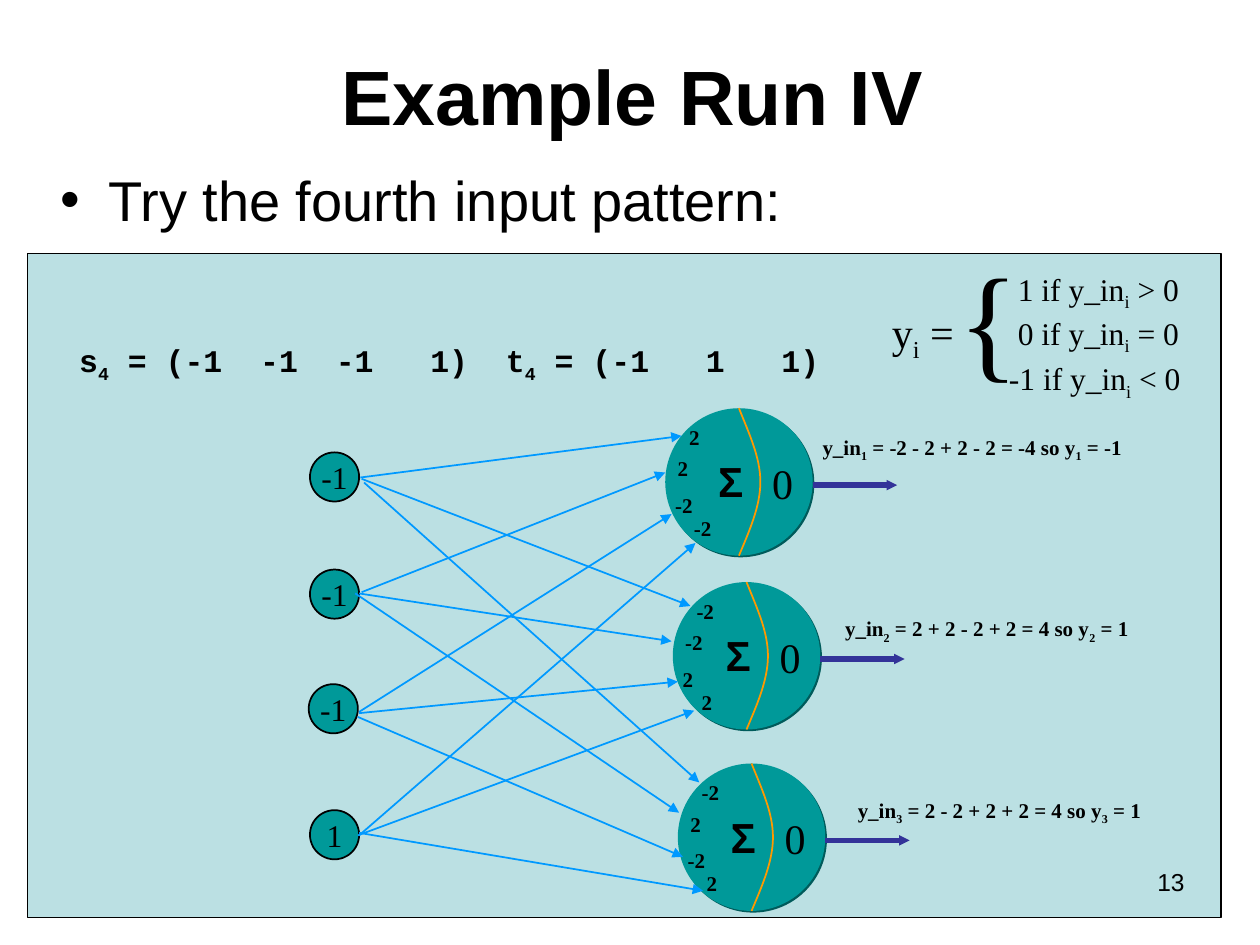
from lxml.etree import SubElement
from pptx import Presentation
from pptx.dml.color import RGBColor
from pptx.enum.shapes import MSO_CONNECTOR, MSO_SHAPE
from pptx.enum.text import MSO_ANCHOR, MSO_AUTO_SIZE, PP_ALIGN
from pptx.oxml.ns import qn
from pptx.util import Inches, Pt

BLACK = RGBColor(0x00, 0x00, 0x00)
PALE = RGBColor(0xBB, 0xE0, 0xE3)
TEAL = RGBColor(0x00, 0x99, 0x99)
ORANGE = RGBColor(0xFF, 0x99, 0x00)
NAVY = RGBColor(0x33, 0x33, 0x99)
BLUE = RGBColor(0x00, 0x99, 0xFF)
SERIF = "Times New Roman"
DISC = 1.17

INPUTS = [(2.46, 3.59, "-1"), (2.46, 4.52, "-1"), (2.45, 5.43, "-1"), (2.46, 6.43, "1")]
UNITS = [
    (5.28, 3.24, ["2", "2", "-2", "-2"]),
    (5.34, 4.62, ["-2", "-2", "2", "2"]),
    (5.38, 6.06, ["-2", "2", "-2", "2"]),
]
SPOTS = [(0.09, 0.08), (0, 0.33), (-0.02, 0.62), (0.13, 0.8)]
LINKS = [
    (2.86, 3.79, 5.41, 3.46), (2.87, 3.8, 5.48, 4.81), (2.89, 3.83, 5.55, 6.21),
    (2.87, 4.7, 5.28, 3.75), (2.85, 4.71, 5.33, 5.09), (2.82, 4.71, 5.39, 6.45),
    (2.85, 5.65, 5.33, 4.08), (2.85, 5.66, 5.38, 5.41), (2.84, 5.69, 5.42, 6.8),
    (2.85, 6.63, 5.52, 4.31), (2.84, 6.63, 5.51, 5.64), (2.85, 6.61, 5.58, 7.07),
]
CASES = [
    (7.98, 2.09, 1.48, "1 if y_in", " > 0"),
    (7.98, 2.44, 1.48, "0 if y_in", " = 0"),
    (7.91, 2.8, 1.56, "-1 if y_in", " < 0"),
]
SUMS = [
    (6.43, 3.4, 2.63, "1", " = -2 - 2 + 2 - 2 = -4 so y", " = -1"),
    (6.61, 4.84, 2.5, "2", " = 2 + 2 - 2 + 2 = 4 so y", " = 1"),
    (6.71, 6.28, 2.5, "3", " = 2 - 2 + 2 + 2 = 4 so y", " = 1"),
]


def write(frame, parts, size, face=SERIF, bold=False, align=PP_ALIGN.LEFT):
    """Add runs to the first paragraph, with every second part as a subscript."""
    para = frame.paragraphs[0]
    para.alignment = align
    para.space_before = Pt(0)
    for num, part in enumerate(parts):
        run = para.add_run()
        run.text = part
        run.font.size = Pt(size)
        run.font.name = face
        run.font.bold = bold
        run.font.color.rgb = BLACK
        if num % 2:
            run.font._element.set("baseline", "-25000")
    return para


def place(shape, x, y, wide, high):
    """Move and size a shape, in inches."""
    shape.left, shape.top = Inches(x), Inches(y)
    shape.width, shape.height = Inches(wide), Inches(high)


def label(slide, x, y, wide, high, parts, size, face=SERIF, bold=False):
    """Add a text box that does not wrap."""
    box = slide.shapes.add_textbox(Inches(x), Inches(y), Inches(wide), Inches(high))
    box.text_frame.word_wrap = False
    box.text_frame.auto_size = MSO_AUTO_SIZE.SHAPE_TO_FIT_TEXT
    write(box.text_frame, parts, size, face, bold)


def solid(slide, kind, x, y, wide, high, fill, line=None):
    """Add a filled preset shape, outlined when a line width is given."""
    shape = slide.shapes.add_shape(kind, Inches(x), Inches(y), Inches(wide), Inches(high))
    shape.shadow.inherit = False
    shape.fill.solid()
    shape.fill.fore_color.rgb = fill
    if line:
        shape.line.color.rgb = BLACK
        shape.line.width = Pt(line)
    else:
        shape.line.fill.background()
    return shape


def arrow(slide, ends, color, width, head="med"):
    """Add a straight line with an arrowhead at its end."""
    link = slide.shapes.add_connector(MSO_CONNECTOR.STRAIGHT, *map(Inches, ends))
    link.line.color.rgb = color
    link.line.width = Pt(width)
    line = link._element.spPr.find(qn("a:ln"))
    SubElement(line, qn("a:tailEnd"), type="triangle", w=head, len=head)
    SubElement(link._element.spPr, qn("a:effectLst"))


def shade(shape):
    """Give a shape a hard dark shadow at its lower right."""
    effects = shape._element.spPr.find(qn("a:effectLst"))
    outer = SubElement(effects, qn("a:outerShdw"), dist=str(Pt(1.4)), dir="2700000")
    SubElement(outer, qn("a:srgbClr"), val="005B5B")


def bend(slide, x, y):
    """Draw the curve that divides a unit in two."""
    steps = [(0.08, 0.2), (0.17, 0.39), (0.17, 0.585), (0.17, 0.78), (0.08, 0.98), (0, DISC)]
    draft = slide.shapes.build_freeform(Inches(x), Inches(y))
    draft.add_line_segments([(Inches(x + dx), Inches(y + dy)) for dx, dy in steps], close=False)
    shape = draft.convert_to_shape()
    shape.shadow.inherit = False
    shape.fill.background()
    shape.line.color.rgb = ORANGE
    shape.line.width = Pt(1)
    trace = shape._element.find(".//" + qn("a:path"))
    lines = trace.findall(qn("a:lnTo"))
    for trio in (lines[:3], lines[3:]):
        curve = SubElement(trace, qn("a:cubicBezTo"))
        for line in trio:
            curve.append(line[0])
            trace.remove(line)


def node(slide, x, y, value):
    """Draw an input node with its value."""
    shape = solid(slide, MSO_SHAPE.OVAL, x, y, 0.39, 0.39, TEAL, 1)
    frame = shape.text_frame
    frame.word_wrap = False
    frame.vertical_anchor = MSO_ANCHOR.MIDDLE
    write(frame, [value], 18, align=PP_ALIGN.CENTER)


def unit(slide, x, y, weights):
    """Draw an output unit with its weights and output arrow."""
    shade(solid(slide, MSO_SHAPE.OVAL, x, y, DISC, DISC, TEAL))
    bend(slide, x + DISC / 2, y)
    label(slide, x + 0.75, y + 0.34, 0.36, 0.5, ["0"], 24)
    label(slide, x + 0.32, y + 0.33, 0.39, 0.5, ["Σ"], 24, "Arial", True)
    for (dx, dy), weight in zip(SPOTS, weights):
        wide = 0.34 if weight.startswith("-") else 0.28
        label(slide, x + dx, y + dy, wide, 0.3, [weight], 12, bold=True)
    arrow(slide, (x + DISC, y + 0.61, x + DISC + 0.67, y + 0.61), NAVY, 3, "sm")


def heads(slide):
    """Fill the title and body placeholders."""
    title, body = slide.placeholders
    place(title, 0.52, 0.13, 9, 1.25)
    title.text_frame.vertical_anchor = MSO_ANCHOR.MIDDLE
    write(title.text_frame, ["Example Run IV"], 44, "Arial", True, PP_ALIGN.CENTER)
    place(body, 0.38, 1.26, 9, 0.75)
    body.text_frame.auto_size = MSO_AUTO_SIZE.NONE
    para = write(body.text_frame, ["Try the fourth input pattern:"], 32, "Arial")
    props = para._p.get_or_add_pPr()
    props.set("marL", str(Inches(0.38)))
    props.set("indent", str(Inches(-0.38)))


def rule(slide):
    """Write the activation rule with its three cases."""
    label(slide, 6.98, 2.38, 0.77, 0.56, ["y", "i", " ="], 24)
    for x, y, wide, start, end in CASES:
        label(slide, x, y, wide, 0.44, [start, "i", end], 18)
    label(slide, 7.51, 1.86, 0.68, 1.3, ["{"], 72)


def main():
    """Build and save the slide."""
    deck = Presentation()
    deck.slide_width, deck.slide_height = Inches(10), Inches(7.5)
    slide = deck.slides.add_slide(deck.slide_layouts[1])
    heads(slide)
    solid(slide, MSO_SHAPE.RECTANGLE, 0.22, 2.01, 9.47, 5.27, PALE, 0.75)
    pattern = ["s", "4", " = (-1  -1  -1   1)  t", "4", " = (-1   1   1)"]
    label(slide, 0.53, 2.66, 6.13, 0.44, pattern, 18, "Courier New", True)
    for item in INPUTS:
        node(slide, *item)
    for item in UNITS:
        unit(slide, *item)
    for ends in LINKS:
        arrow(slide, ends, BLUE, 1)
    rule(slide)
    for x, y, wide, num, total, result in SUMS:
        label(slide, x, y, wide, 0.33, ["y_in", num, total, num, result], 12, bold=True)
    box = slide.shapes.add_textbox(Inches(7.17), Inches(6.83), Inches(2.33), Inches(0.52))
    box.text_frame.word_wrap = True
    write(box.text_frame, ["13"], 14, "Arial", align=PP_ALIGN.RIGHT)
    deck.save("out.pptx")


if __name__ == "__main__":
    main()
